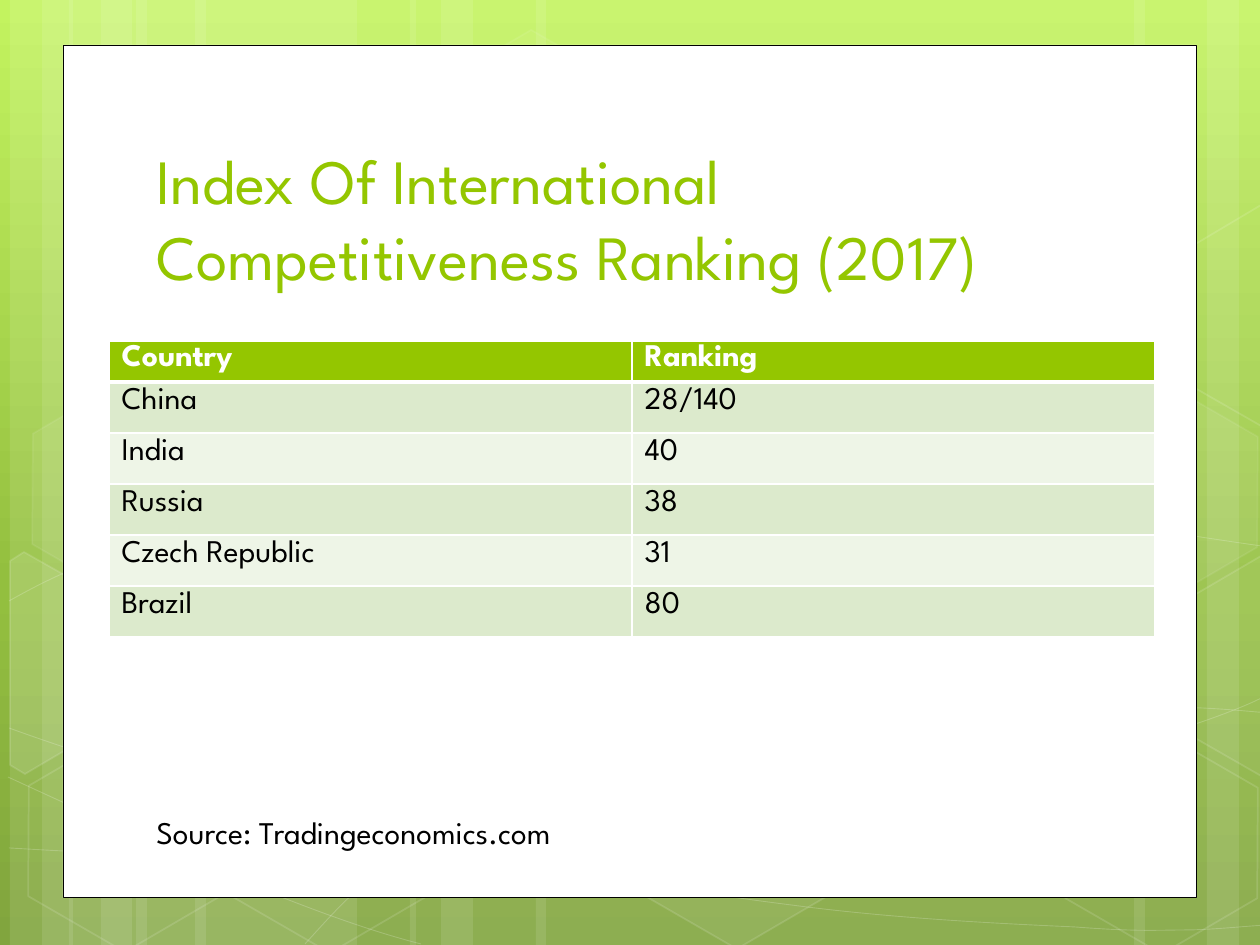
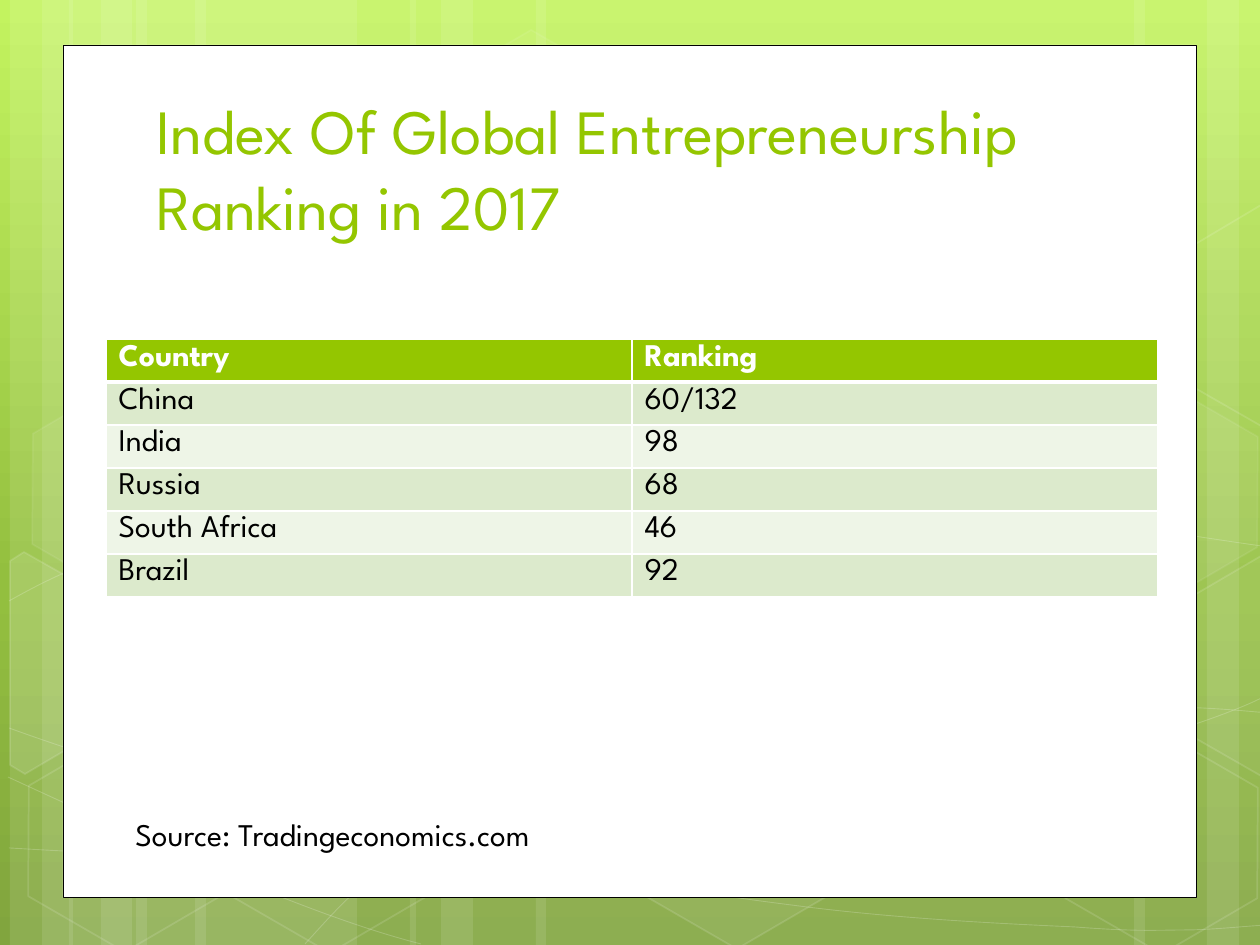
"""Build two country ranking slides on a shared green hexagon backdrop."""
from copy import deepcopy

from lxml.etree import SubElement
from pptx import Presentation
from pptx.dml.color import RGBColor
from pptx.enum.shapes import MSO_SHAPE
from pptx.enum.text import MSO_ANCHOR, MSO_AUTO_SIZE
from pptx.oxml.ns import qn
from pptx.util import Emu, Pt

SCALE = 914400 / 126
FONT = "League Spartan"
LINE_HEIGHT = 38
WHITE = RGBColor(0xFF, 0xFF, 0xFF)
BLACK = RGBColor(0x00, 0x00, 0x00)
GREEN = RGBColor(0x94, 0xC6, 0x00)
BAND_DARK = RGBColor(0xDC, 0xEA, 0xCC)
BAND_LIGHT = RGBColor(0xEE, 0xF5, 0xE7)
GRADIENT = [
    (0, RGBColor(0xC3, 0xF3, 0x5F)),
    (0.62, RGBColor(0x93, 0xBF, 0x3F)),
    (1, RGBColor(0x81, 0xA5, 0x3E)),
]

STRIPES = [
    (136, 221), (10, 63), (42, 105), (195, 221), (69, 63), (101, 105),
    (924, 221), (1207, 63), (1134, 105), (536, 388), (410, 63), (441, 105),
]
CURVES = [
    [(9, 848), (77, 852), (145, 856), (239, 854), (334, 853), (451, 851), (577, 838),
     (703, 825), (882, 801), (998, 777), (1113, 753), (1231, 716), (1269, 694)],
    [(9, 601), (45, 581), (81, 562), (152, 543), (224, 524), (326, 496), (437, 488),
     (549, 479), (685, 478), (824, 488), (963, 498), (1193, 537), (1269, 547)],
    [(8, 777), (160, 847), (311, 916), (421, 944)],
    [(9, 728), (48, 742), (88, 756), (161, 776), (234, 795), (344, 827), (450, 848),
     (554, 869), (687, 892), (791, 905), (896, 919), (1008, 924), (1075, 927),
     (1140, 932), (1158, 930), (1191, 930), (1223, 929), (1246, 926), (1269, 925)],
    [(305, 944), (328, 919), (350, 893), (381, 871), (411, 848), (454, 823), (489, 805),
     (524, 788), (546, 780), (592, 767), (638, 755), (722, 737), (766, 728),
     (811, 719), (818, 719), (857, 717), (896, 714), (958, 709), (1000, 708),
     (1044, 707), (1116, 708), (1116, 708), (1144, 708), (1173, 708), (1201, 708),
     (1223, 709), (1245, 711), (1256, 712), (1268, 713), (1264, 712), (1268, 713)],
]
HEXAGONS = [
    (421, 45, 4, 8), (626, 742, 6, 12), (14, 745, None, 12), (18, 393, 7, 8),
    (219, 746, None, 12), (949, 571, 10, 12), (1051, 747, None, 12), (1051, 396, 7, 8),
]
CUT_HEXAGONS = [
    ([(10, 561), (24, 552), (121, 607), (120, 718), (25, 774), (10, 765)], 10),
    ([(1167, 611), (1261, 556), (1271, 562), (1271, 772), (1263, 777), (1167, 722)], 4),
    ([(1167, 261), (1261, 205), (1273, 212), (1271, 422), (1263, 427), (1167, 372)], None),
]
RANKINGS = [
    {
        "title": "Index Of International Competitiveness Ranking (2017)",
        "title_top": 141,
        "table_at": (109, 341),
        "column_width": 523,
        "row_heights": (41, 51),
        "source_at": (144, 807),
        "rows": [("Country", "Ranking"), ("China", "28/140"), ("India", "40"),
                 ("Russia", "38"), ("Czech Republic", "31"), ("Brazil", "80")],
    },
    {
        "title": "Index Of Global Entrepreneurship Ranking in 2017",
        "title_top": 91,
        "table_at": (106, 339),
        "column_width": 526,
        "row_heights": (43, 43),
        "source_at": (123, 809),
        "rows": [("Country", "Ranking"), ("China", "60/132"), ("India", "98"),
                 ("Russia", "68"), ("South Africa", "46"), ("Brazil", "92")],
    },
]


def px(*lengths):
    return [Emu(round(length * SCALE)) for length in lengths]


def make_translucent(shape, fill_alpha, line_alpha, line_width=1):
    shape.shadow.inherit = False
    for part, alpha, place in (
        (shape.fill, fill_alpha, "a:solidFill"),
        (shape.line.fill, line_alpha, "a:ln/a:solidFill"),
    ):
        if alpha is None:
            part.background()
            continue
        part.solid()
        part.fore_color.rgb = WHITE
        color = shape.element.spPr.xpath(f"./{place}/a:srgbClr")[0]
        SubElement(color, qn("a:alpha"), val=str(alpha * 1000))
    if line_alpha is not None:
        shape.line.width = Pt(line_width)


presentation = Presentation()
presentation.slide_width, presentation.slide_height = px(1260, 945)
layout = presentation.slide_layouts[6]
for placeholder in list(layout.placeholders):
    layout.shapes.element.remove(placeholder.element)
slides = [presentation.slides.add_slide(layout) for _ in RANKINGS]

background = layout.background.fill
background.gradient()
background.gradient_angle = 270
stop_list = layout.element.xpath("./p:cSld/p:bg//a:gsLst")[0]
stop_list.append(deepcopy(stop_list[-1]))
for stop, (position, color) in zip(background.gradient_stops, GRADIENT):
    stop.position = position
    stop.color.rgb = color

backdrop = slides[0].shapes.add_group_shape()
for left, width in STRIPES:
    stripe = backdrop.shapes.add_shape(MSO_SHAPE.RECTANGLE, *px(left, 0, width, 945))
    make_translucent(stripe, 10, None)

for points in CURVES:
    builder = backdrop.shapes.build_freeform(*points[0], scale=SCALE)
    builder.add_line_segments(points[1:], close=False)
    curve = builder.convert_to_shape()
    outline = curve.element.xpath(".//a:path")[0]
    segments = outline.findall(qn("a:lnTo"))
    for start in range(0, len(segments), 3):
        bezier = SubElement(outline, qn("a:cubicBezTo"))
        for segment in segments[start:start + 3]:
            bezier.append(segment[0])
            outline.remove(segment)
    make_translucent(curve, None, 20, 0.5)

for left, top, fill_alpha, line_alpha in HEXAGONS:
    hexagon = backdrop.shapes.add_shape(MSO_SHAPE.HEXAGON, *px(left, top, 221, 192))
    hexagon.adjustments[0] = 0.285
    hexagon.rotation = 30
    make_translucent(hexagon, fill_alpha, line_alpha)

for points, fill_alpha in CUT_HEXAGONS:
    builder = backdrop.shapes.build_freeform(*points[0], scale=SCALE)
    builder.add_line_segments(points[1:], close=True)
    make_translucent(builder.convert_to_shape(), fill_alpha, 12)

panel = slides[0].shapes.add_shape(MSO_SHAPE.RECTANGLE, *px(63, 45, 1134, 853))
panel.shadow.inherit = False
panel.fill.solid()
panel.fill.fore_color.rgb = WHITE
panel.line.color.rgb = BLACK
panel.line.width = Pt(0.5)
for shape in (backdrop, panel):
    layout.shapes.element.append(shape.element)

for slide, ranking in zip(slides, RANKINGS):
    shapes = slide.shapes
    title = shapes.add_textbox(*px(144, ranking["title_top"], 968, 158))
    title.text_frame.word_wrap = True
    title.text_frame.vertical_anchor = MSO_ANCHOR.BOTTOM

    rows = ranking["rows"]
    header_height, body_height = ranking["row_heights"]
    column_width = ranking["column_width"]
    table_height = header_height + body_height * (len(rows) - 1)
    frame = shapes.add_table(
        len(rows), 2, *px(*ranking["table_at"], 2 * column_width, table_height))
    table = frame.table
    for column in table.columns:
        column.width = px(column_width)[0]
    for row_index, values in enumerate(rows):
        is_header = row_index == 0
        row_height = header_height if is_header else body_height
        table.rows[row_index].height = px(row_height)[0]
        for column_index, value in enumerate(values):
            cell = table.cell(row_index, column_index)
            cell.margin_top = px(min(6, row_height - LINE_HEIGHT))[0]
            cell.margin_bottom = 0
            properties = cell._tc.get_or_add_tcPr()
            for side in "LRTB":
                thick = (row_index, side) in ((0, "B"), (1, "T"))
                border = SubElement(
                    properties, qn(f"a:ln{side}"), w=str(Pt(3 if thick else 1)))
                border_fill = SubElement(border, qn("a:solidFill"))
                SubElement(border_fill, qn("a:srgbClr"), val=str(WHITE))
            cell.fill.solid()
            band = BAND_DARK if row_index % 2 else BAND_LIGHT
            cell.fill.fore_color.rgb = GREEN if is_header else band
            paragraph = cell.text_frame.paragraphs[0]
            paragraph.text = value
            paragraph.font.name = FONT
            paragraph.font.size = Pt(18)
            paragraph.font.bold = is_header
            paragraph.font.color.rgb = WHITE if is_header else BLACK

    source = shapes.add_textbox(*px(*ranking["source_at"], 428, 51))
    source.text_frame.word_wrap = False
    source.text_frame.auto_size = MSO_AUTO_SIZE.SHAPE_TO_FIT_TEXT
    for box, text, size, color in (
        (title, ranking["title"], 36, GREEN),
        (source, "Source: Tradingeconomics.com", 18, BLACK),
    ):
        paragraph = box.text_frame.paragraphs[0]
        paragraph.text = text
        paragraph.font.name = FONT
        paragraph.font.size = Pt(size)
        paragraph.font.color.rgb = color

presentation.save("out.pptx")
